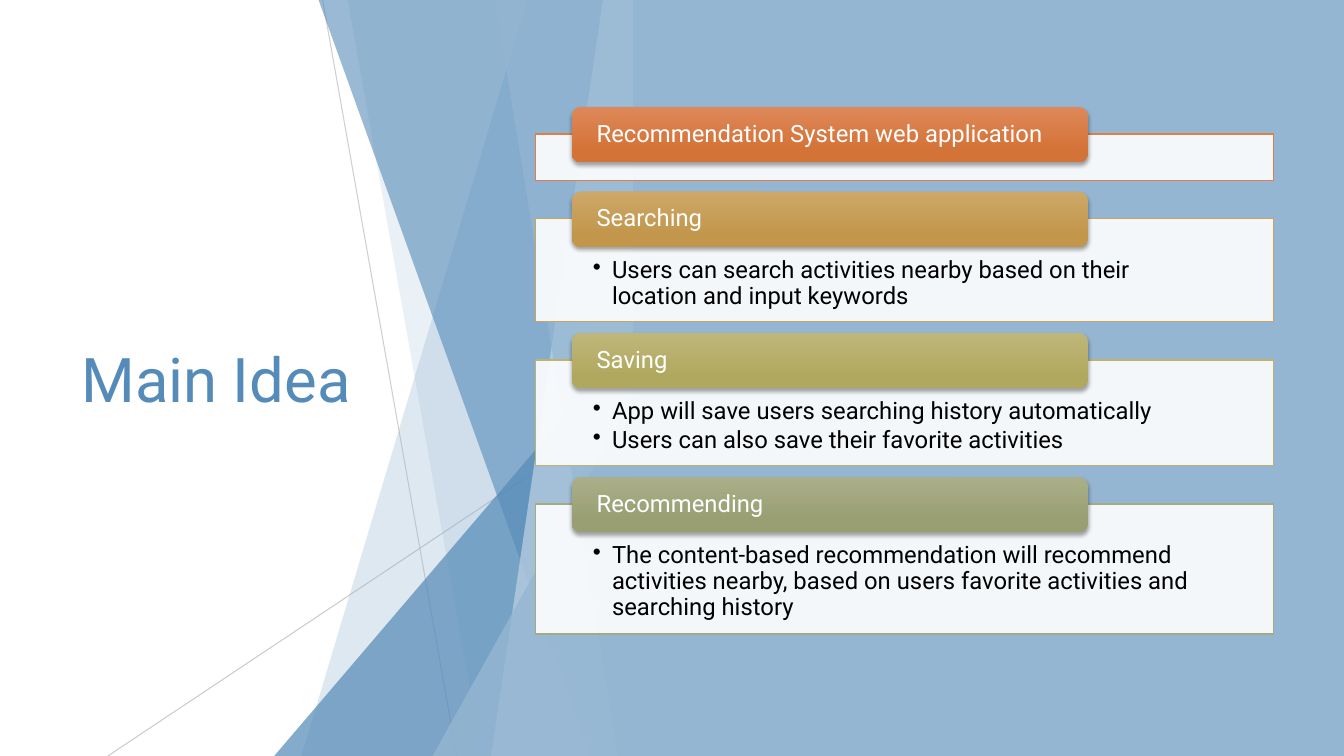
from lxml import etree
from pptx import Presentation
from pptx.dml.color import RGBColor
from pptx.enum.shapes import MSO_CONNECTOR, MSO_SHAPE
from pptx.enum.text import MSO_ANCHOR, PP_ALIGN
from pptx.oxml.ns import qn
from pptx.util import Inches, Pt

STRAIGHT = MSO_CONNECTOR.STRAIGHT
RECT, ROUNDED, TRIANGLE = MSO_SHAPE.RECTANGLE, MSO_SHAPE.ROUNDED_RECTANGLE, MSO_SHAPE.ISOSCELES_TRIANGLE
LEFT, TOP, MIDDLE = PP_ALIGN.LEFT, MSO_ANCHOR.TOP, MSO_ANCHOR.MIDDLE

FONT = "Roboto"
COLORS = {"white": "FFFFFF", "black": "000000", "gray": "BFBFBF",
          "blue": "94B6D2", "deep": "558BB8", "pale": "BFD3E4"}
WIDTH, HEIGHT = 13.33, 7.5
EDGE = 6.28        # where the facets meet the blue panel
CARD_LEFT, CARD_WIDTH, CARD_GAP = 5.31, 7.32, 0.38
TAB_RISE = 0.27    # how far a tab stands above its card

# Facets from back to front: kind, top x or apex y, bottom x, colour, opacity
FACETS = [
    ("band", 5.23, 2.99, "blue", 30),
    ("band", 3.45, 4.78, "blue", 20),
    ("triangle", 3.33, 2.72, "deep", 72),
    ("band", 3.16, 5.86, "deep", 60),
    ("band", 5.98, 4.87, "pale", 70),
    ("band", 4.91, 6.13, "blue", 65),
    ("triangle", 3.93, 4.29, "blue", 80),
]

# Cards: heading, bullets, height, outline, gradient start and end
CARDS = [
    ("Recommendation System web application", [], 0.46, "DD8047", "DE885A", "D47337"),
    ("Searching",
     ["Users can search activities nearby based on their location and input keywords"],
     1.02, "CCA35B", "CEA869", "C2974C"),
    ("Saving",
     ["App will save users searching history automatically",
      "Users can also save their favorite activities"],
     1.05, "BBB36E", "BFB779", "B1A860"),
    ("Recommending",
     ["The content-based recommendation will recommend activities nearby, "
      "based on users favorite activities and searching history"],
     1.29, "A5AB81", "AAAF89", "999F73"),
]


def rgb(color):
    return RGBColor.from_string(COLORS.get(color, color))


def add_xml(parent, tag, **attrs):
    return etree.SubElement(parent, qn(tag), {k: str(v) for k, v in attrs.items()})


def set_opacity(s, percent):
    color = s._element.spPr.find(".//" + qn("a:srgbClr"))
    add_xml(color, "a:alpha", val=percent * 1000)


def paint(s, color, opacity=100):
    s.shadow.inherit = False
    s.fill.solid()
    s.fill.fore_color.rgb = rgb(color)
    s.line.fill.background()
    if opacity < 100:
        set_opacity(s, opacity)


def add_box(slide, kind, left, top, width, height):
    return slide.shapes.add_shape(kind, Inches(left), Inches(top), Inches(width), Inches(height))


def add_facet(slide, kind, start, bottom_x, color, opacity):
    if kind == "triangle":
        s = add_box(slide, TRIANGLE, bottom_x, start, EDGE - bottom_x, HEIGHT - start)
        s.adjustments[0] = 1
    else:
        outline = slide.shapes.build_freeform(Inches(start), Inches(0))
        corners = [(EDGE, 0), (EDGE, HEIGHT), (bottom_x, HEIGHT)]
        outline.add_line_segments([(Inches(x), Inches(y)) for x, y in corners])
        s = outline.convert_to_shape()
    paint(s, color, opacity)


def add_hairline(slide, x1, y1, x2, y2, opacity):
    s = slide.shapes.add_connector(STRAIGHT, Inches(x1), Inches(y1), Inches(x2), Inches(y2))
    s.line.color.rgb = rgb("gray")
    s.line.width = Pt(0.75)
    set_opacity(s, opacity)
    add_xml(s._element.spPr, "a:effectLst")


def set_text(s, lines, size, color, anchor, insets, spacing=1.0, after=0):
    tf = s.text_frame
    tf.text = "\n".join(lines)
    tf.word_wrap = True
    tf.vertical_anchor = anchor
    tf.margin_left = tf.margin_right = Inches(insets[0])
    tf.margin_top, tf.margin_bottom = Inches(insets[1]), Inches(insets[2])
    for p in tf.paragraphs:
        p.alignment = LEFT
        p.line_spacing = spacing
        p.space_after = Pt(after)
        for r in p.runs:
            r.font.name = FONT
            r.font.size = Pt(size)
            r.font.color.rgb = rgb(color)


def add_bullets(s):
    for p in s.text_frame.paragraphs:
        pPr = p._p.get_or_add_pPr()
        pPr.set("marL", str(Inches(0.19)))
        pPr.set("indent", str(Inches(-0.19)))
        add_xml(pPr, "a:buChar", char="•")


def add_shadow(s):
    effects = s._element.spPr.find(qn("a:effectLst"))
    shadow = add_xml(effects, "a:outerShdw", blurRad=Pt(3), dist=Pt(2),
                     dir=90 * 60000, algn="ctr", rotWithShape=0)
    color = add_xml(shadow, "a:srgbClr", val=COLORS["black"])
    add_xml(color, "a:alpha", val=35000)


def add_card(slide, top, heading, bullets, height, outline, light, dark):
    # Body
    s = add_box(slide, RECT, CARD_LEFT, top, CARD_WIDTH, height)
    paint(s, "white", 90)
    s.line.color.rgb = rgb(outline)
    s.line.width = Pt(1)
    if bullets:
        set_text(s, bullets, 17, "black", TOP, (0.57, 0.39, 0.13), 0.9, 2.5)
        add_bullets(s)

    # Heading tab
    s = add_box(slide, ROUNDED, CARD_LEFT + 0.36, top - TAB_RISE, 5.12, 0.55)
    s.shadow.inherit = False
    s.line.fill.background()
    s.fill.gradient()
    s.fill.gradient_angle = 270
    for stop, color, position in zip(s.fill.gradient_stops, (light, dark), (0, 0.78)):
        stop.color.rgb = rgb(color)
        stop.position = position
    add_shadow(s)
    set_text(s, [heading], 17, "white", MIDDLE, (0.22, 0, 0), 0.9)


def main():
    prs = Presentation()
    prs.slide_width, prs.slide_height = Inches(WIDTH), Inches(HEIGHT)
    slide = prs.slides.add_slide(prs.slide_layouts[6])

    # Facet backdrop
    add_hairline(slide, 3.2, 0, 4.53, HEIGHT, 75)
    add_hairline(slide, EDGE, 4.03, 1.07, HEIGHT, 80)
    for facet in FACETS:
        add_facet(slide, *facet)

    # Title
    title = slide.shapes.add_textbox(Inches(0.71), Inches(1.51), Inches(3.88), Inches(4.48))
    set_text(title, ["Main Idea"], 44, "deep", MIDDLE, (0.1, 0.05, 0.05))

    # Blue panel
    paint(add_box(slide, RECT, EDGE, 0, WIDTH - EDGE, HEIGHT), "blue")

    # Cards
    top = 1.33
    for card in CARDS:
        add_card(slide, top, *card)
        top += card[2] + CARD_GAP

    prs.save("out.pptx")


main()
